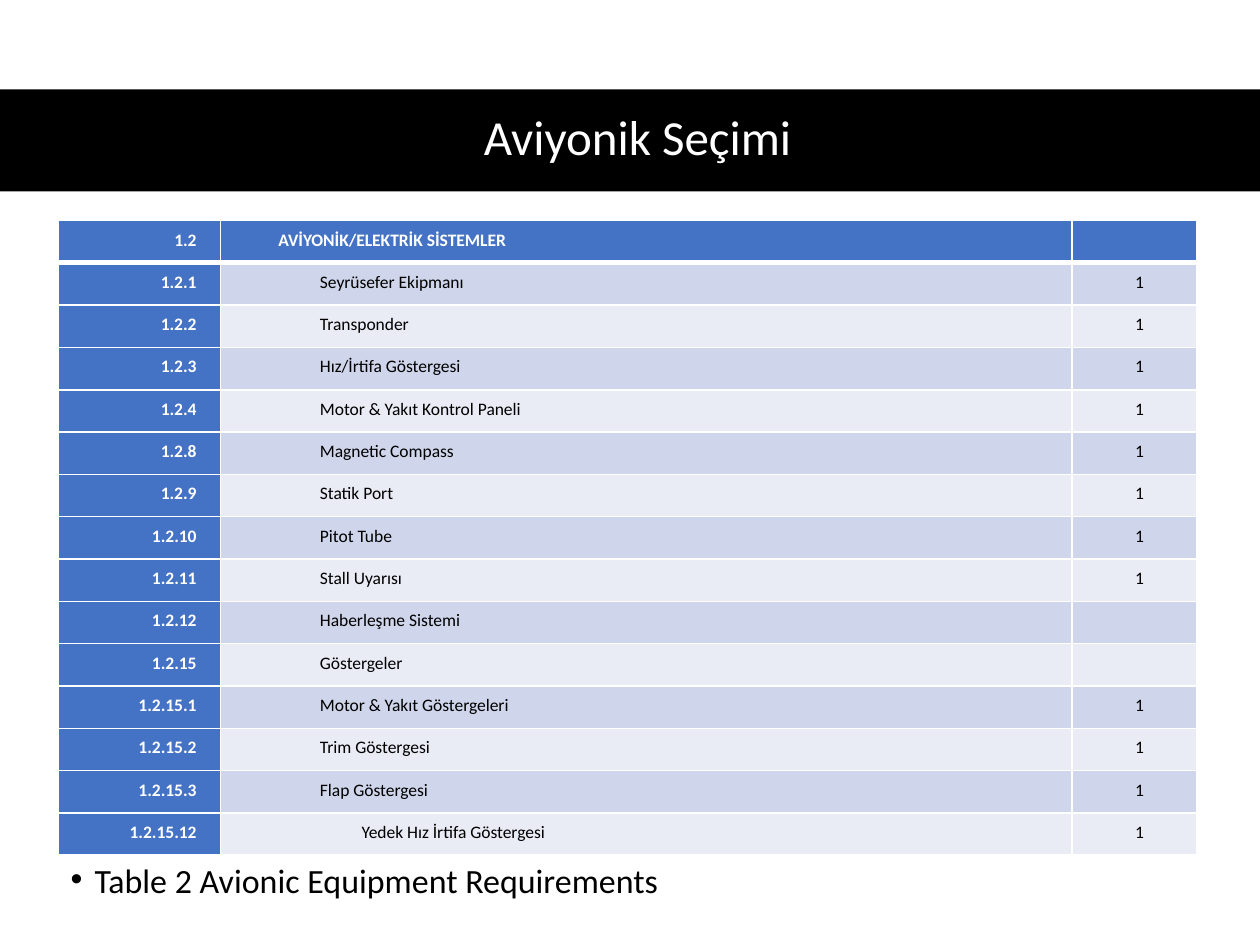
from lxml.etree import SubElement as Sub
from pptx import Presentation
from pptx.dml.color import RGBColor
from pptx.enum.shapes import MSO_SHAPE as Shape
from pptx.enum.text import MSO_ANCHOR as Anchor, PP_ALIGN as Align
from pptx.oxml.ns import qn
from pptx.util import Pt

PX = 9144  # 100 px to the inch
WHITE, BLACK, BLUE = "FFFFFF", "000000", "4472C4"
BANDS = "CFD5EA", "E9EBF5"
STEP = 33  # indent of one outline level

HEAD = ("1.2", "AVİYONİK/ELEKTRİK SİSTEMLER", "", 1)
PARTS = [
    ("1.2.1", "Seyrüsefer Ekipmanı", "1", 2),
    ("1.2.2", "Transponder", "1", 2),
    ("1.2.3", "Hız/İrtifa Göstergesi", "1", 2),
    ("1.2.4", "Motor & Yakıt Kontrol Paneli", "1", 2),
    ("1.2.8", "Magnetic Compass", "1", 2),
    ("1.2.9", "Statik Port", "1", 2),
    ("1.2.10", "Pitot Tube", "1", 2),
    ("1.2.11", "Stall Uyarısı", "1", 2),
    ("1.2.12", "Haberleşme Sistemi", "", 2),
    ("1.2.15", "Göstergeler", "", 2),
    ("1.2.15.1", "Motor & Yakıt Göstergeleri", "1", 2),
    ("1.2.15.2", "Trim Göstergesi", "1", 2),
    ("1.2.15.3", "Flap Göstergesi", "1", 2),
    ("1.2.15.12", "Yedek Hız İrtifa Göstergesi", "1", 3),
]


def px(*vals):
    return [round(v * PX) for v in vals]


def rgb(code):
    return RGBColor.from_string(code)


def indent(para, left, first=0):
    props = para._p.get_or_add_pPr()
    props.set("marL", str(left * PX))
    props.set("indent", str(first * PX))
    return props


def edge(cell, side, width):
    """Draw a white border on one side: L, R, T or B."""
    line = Sub(cell._tc.get_or_add_tcPr(), qn("a:ln" + side), w=str(Pt(width)))
    Sub(Sub(line, qn("a:solidFill")), qn("a:srgbClr"), val=WHITE)


class Deck:
    font = "Calibri"

    def __init__(self):
        self.prs = Presentation()
        self.prs.slide_width, self.prs.slide_height = px(1000, 750)
        self.slide = self.prs.slides.add_slide(self.prs.slide_layouts[1])
        self.shapes = self.slide.shapes

    def style(self, para, size, color, bold=False, align=Align.LEFT, space=1.0):
        font = para.font
        font.name, font.size, font.bold = self.font, Pt(size), bold
        font.color.rgb = rgb(color)
        para.alignment, para.line_spacing = align, space

    def place(self, shape, box):
        shape.left, shape.top, shape.width, shape.height = px(*box)

    def band(self, box, color):
        """Add a plain bar behind everything else."""
        bar = self.shapes.add_shape(Shape.RECTANGLE, *px(*box))
        bar.shadow.inherit = False
        bar.fill.solid()
        bar.fill.fore_color.rgb = rgb(color)
        bar.line.fill.background()
        self.shapes._spTree.insert(2, bar._element)

    def title(self, text, box):
        head = self.shapes.title
        self.place(head, box)
        head.text_frame.text = text
        head.text_frame.vertical_anchor = Anchor.MIDDLE
        self.style(head.text_frame.paragraphs[0], 28, WHITE,
                   align=Align.CENTER, space=0.9)

    def bullet(self, text, box):
        body = self.slide.placeholders[1]
        self.place(body, box)
        body.text_frame.text = text
        para = body.text_frame.paragraphs[0]
        self.style(para, 19.4, BLACK, space=0.7)
        para.space_before = Pt(7.5)
        indent(para, 19, -19)

    def cell(self, cell, text, fill, color, bold, align, right, left=0, base=1):
        for side, width in zip("LRTB", (1, 1, 1, base)):
            edge(cell, side, width)
        cell.fill.solid()
        cell.fill.fore_color.rgb = rgb(fill)
        cell.vertical_anchor = Anchor.TOP
        (cell.margin_left, cell.margin_top,
         cell.margin_right, cell.margin_bottom) = px(13, 6, right, 6)
        cell.text = text
        para = cell.text_frame.paragraphs[0]
        self.style(para, 10, color, bold, align, 1.07)
        indent(para, left)
        if not text:  # keeps the blank line as low as the others
            para._p.get_or_add_endParaRPr().set("sz", "1000")

    def table(self, rows, cols, box):
        """Fill a table from (code, name, count, level) rows, the first as head."""
        grid = self.shapes.add_table(len(rows), len(cols), *px(*box)).table
        for col, width in zip(grid.columns, px(*cols)):
            col.width = width
        grid.first_col = True
        for i, (code, name, count, level) in enumerate(rows):
            top = i == 0
            look = (BLUE, WHITE, True) if top else (BANDS[(i - 1) % 2], BLACK, False)
            base = 3 if top else 1
            self.cell(grid.cell(i, 0), code, BLUE, WHITE, True, Align.RIGHT, 19,
                      base=base)
            self.cell(grid.cell(i, 1), name, *look, Align.JUSTIFY, 5,
                      level * STEP, base)
            self.cell(grid.cell(i, 2), count, *look, Align.CENTER, 5, base=base)


def main():
    deck = Deck()
    deck.band((0, 71, 1000, 81), BLACK)
    deck.title("Aviyonik Seçimi", (46, 70, 920, 81))
    deck.table([HEAD, *PARTS], (129, 676, 99), (46, 175, 904, 504))
    deck.bullet("Table 2 Avionic Equipment Requirements", (46, 686, 870, 35))
    deck.prs.save("out.pptx")


if __name__ == "__main__":
    main()
